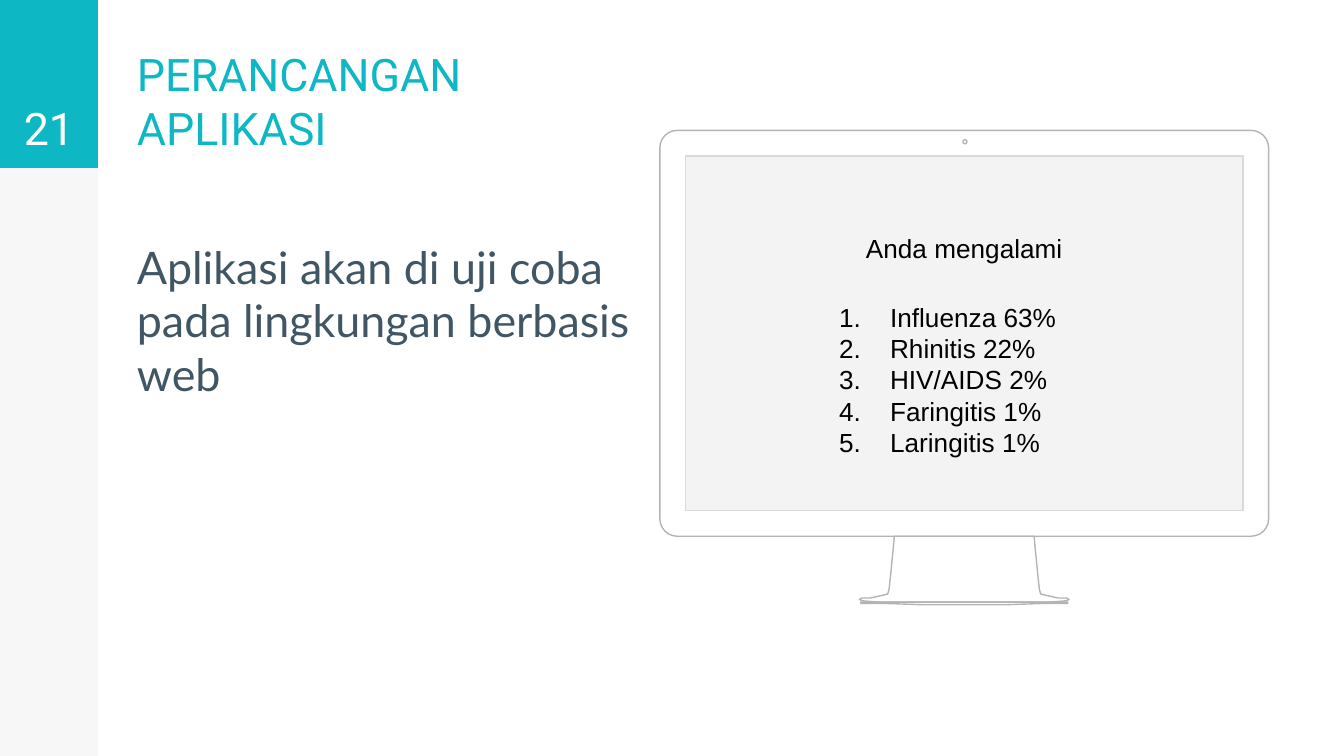
from dataclasses import dataclass

from lxml import etree
from pptx import Presentation
from pptx.dml.color import RGBColor
from pptx.enum import shapes, text
from pptx.oxml import ns
from pptx.util import Inches, Pt


@dataclass(frozen=True)
class Theme:
    teal: str = "0DB7C4"
    slate: str = "415665"
    white: str = "FFFFFF"
    black: str = "000000"
    side: str = "F7F7F7"
    screen: str = "F3F3F3"
    edge: str = "D9D9D9"
    frame: str = "B3B3B3"
    head: str = "Roboto"
    body: str = "Lato"
    plain: str = "Arial"
    big: int = 24
    small: int = 14


T = Theme()
WIDE = 10
HIGH = WIDE * 9 / 16
KIND = shapes.MSO_SHAPE
TOP, BOTTOM = text.MSO_ANCHOR.TOP, text.MSO_ANCHOR.BOTTOM
LEFT, CENTER = text.PP_ALIGN.LEFT, text.PP_ALIGN.CENTER

# Half outlines of the monitor foot: offset from its axis, drop from the case
STAND = [(0.52, 0), (0.53, 0.11), (0.54, 0.21), (0.55, 0.31), (0.56, 0.4),
         (0.57, 0.43), (0.61, 0.44), (0.7, 0.46), (0.76, 0.46),
         (0.78, 0.47), (0.76, 0.48), (0.64, 0.49), (0.49, 0.49)]
BASE = [(0.77, 0.49), (0.77, 0.5), (0.6, 0.5), (0.3, 0.51)]


def paint(shape, fill, line=None):
    shape.shadow.inherit = False
    shape.fill.solid()
    shape.fill.fore_color.rgb = RGBColor.from_string(fill)
    if line:
        shape.line.color.rgb = RGBColor.from_string(line)
        shape.line.width = Pt(0.75)
    else:
        shape.line.fill.background()


def draw(slide, kind, box, fill, line=None):
    shape = slide.shapes.add_shape(kind, *map(Inches, box))
    paint(shape, fill, line)
    return shape


def number(para):
    """Make a paragraph an item of a numbered list with a hanging indent."""
    props = para._p.get_or_add_pPr()
    props.set("marL", str(Inches(0.38)))
    props.set("indent", str(-Inches(0.38)))
    font = etree.SubElement(props, ns.qn("a:buFont"))
    font.set("typeface", T.plain)
    mark = etree.SubElement(props, ns.qn("a:buAutoNum"))
    mark.set("type", "arabicPeriod")


def write(slide, box, words, face, size, color,
          align=LEFT, anchor=TOP, pad=0.1, listed=False):
    frame = slide.shapes.add_textbox(*map(Inches, box)).text_frame
    frame.word_wrap = True
    frame.vertical_anchor = anchor
    frame.margin_top = frame.margin_bottom = Inches(pad)
    frame.text = words
    for para in frame.paragraphs:
        para.alignment = align
        if listed:
            number(para)
        for run in para.runs:
            run.font.name = face
            run.font.size = Pt(size)
            run.font.color.rgb = RGBColor.from_string(color)


def mirror(slide, axis, top, half):
    """Draw a closed outline from its right half, mirrored at the axis."""
    right = [(axis + dx, top + dy) for dx, dy in half]
    left = [(axis - dx, top + dy) for dx, dy in reversed(half)]
    points = [(Inches(x), Inches(y)) for x, y in right + left]
    pen = slide.shapes.build_freeform(*points[0])
    pen.add_line_segments(points[1:], close=True)
    paint(pen.convert_to_shape(), T.white, T.frame)


def sidebar(slide, box, page):
    left, top, width, _ = box
    tab = (left, top, width, 1.25)
    draw(slide, KIND.RECTANGLE, box, T.side)
    draw(slide, KIND.RECTANGLE, tab, T.teal)
    write(slide, tab, page, T.head, T.big, T.white, CENTER, BOTTOM)


def content(slide, box, title, body):
    left, top, width, height = box
    write(slide, (left, top, width, 1.25), title,
          T.head, T.big, T.teal, anchor=BOTTOM)
    write(slide, (left, top + 1.68, width, height - 1.68), body,
          T.body, T.big, T.slate)


def monitor(slide, box, label, items):
    left, top, width, height = box
    axis = left + width / 2
    tall = height - 0.5
    bezel = 0.19
    case = draw(slide, KIND.ROUNDED_RECTANGLE, (left, top, width, tall),
                T.white, T.frame)
    case.adjustments[0] = 0.13 / tall
    draw(slide, KIND.OVAL, (axis - 0.01, top + 0.07, 0.03, 0.03),
         T.white, T.frame)
    for half in (STAND, BASE):
        mirror(slide, axis, top + tall, half)
    draw(slide, KIND.RECTANGLE,
         (left + bezel, top + bezel, width - 2 * bezel, tall - 2 * bezel),
         T.screen, T.edge)

    wide = 2.06
    edge = axis - wide / 2
    write(slide, (edge, top + 0.71, wide, 0.34), label,
          T.plain, T.small, T.black, CENTER, pad=0.05)
    write(slide, (edge, top + 1.22, wide, 1.28), "\n".join(items),
          T.plain, T.small, T.black, pad=0.05, listed=True)


def main():
    deck = Presentation()
    deck.slide_width, deck.slide_height = Inches(WIDE), Inches(HIGH)
    slide = deck.slides.add_slide(deck.slide_layouts[6])
    sidebar(slide, (0, 0, 0.73, HIGH), "21")
    content(slide, (0.92, 0, 3.89, 5.39), "PERANCANGAN APLIKASI",
            "Aplikasi akan di uji coba pada lingkungan berbasis web")
    monitor(slide, (4.91, 0.97, 4.53, 3.52), "Anda mengalami",
            ["Influenza 63%", "Rhinitis 22%", "HIV/AIDS 2%",
             "Faringitis 1%", "Laringitis 1%"])
    deck.save("out.pptx")


if __name__ == "__main__":
    main()
